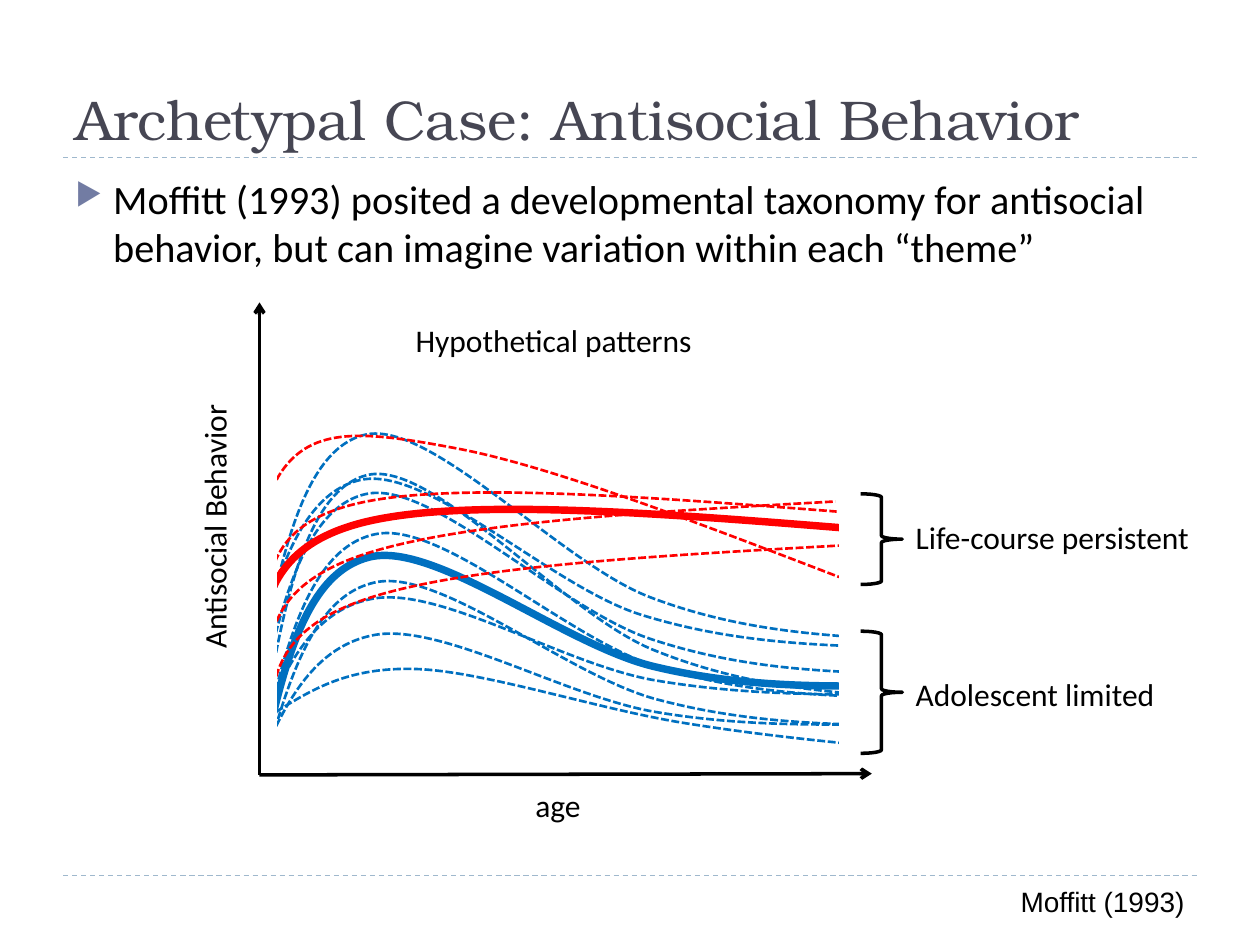
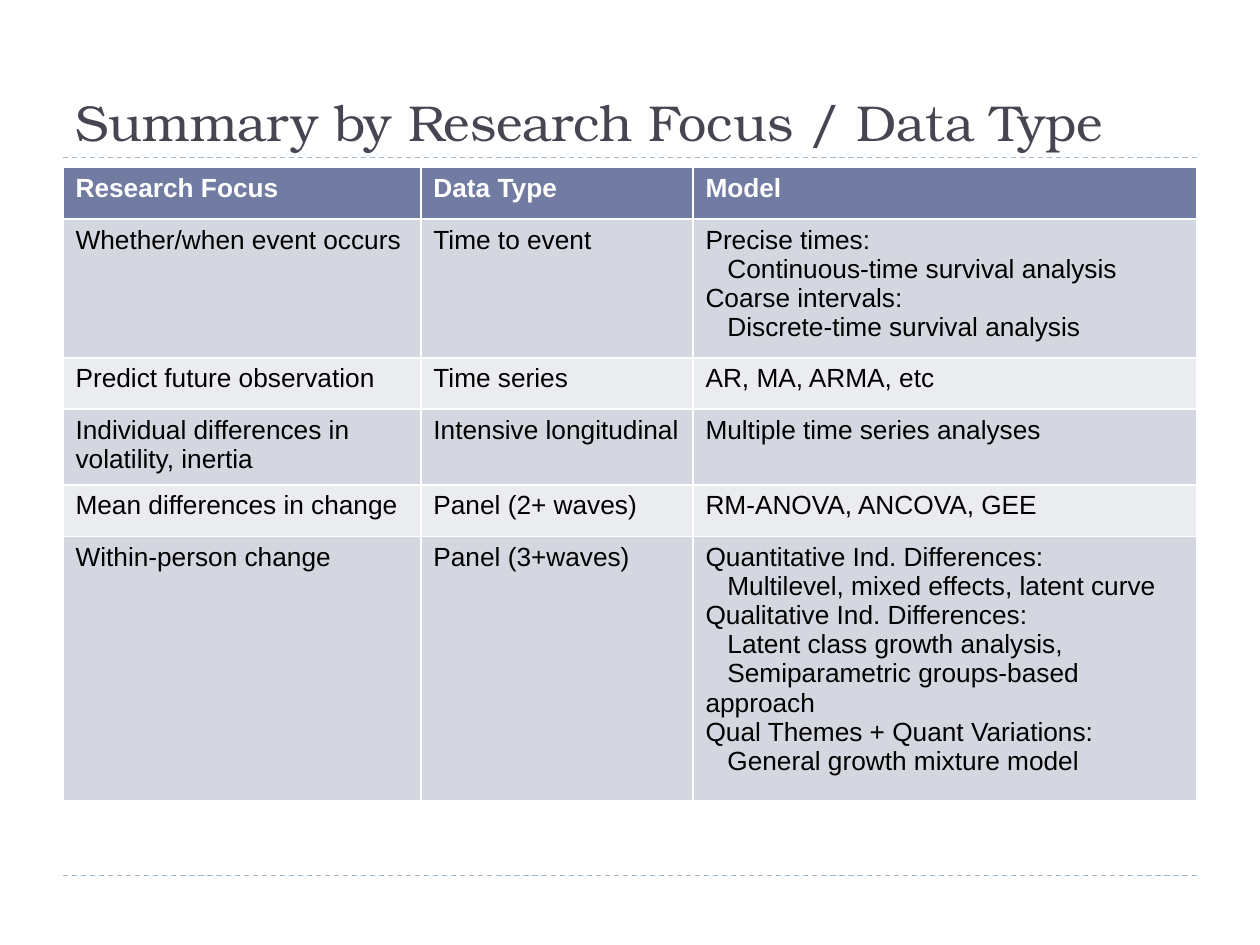
from pptx import Presentation
from pptx.dml.color import RGBColor
from pptx.enum.dml import MSO_LINE_DASH_STYLE as DASH
from pptx.enum.shapes import MSO_CONNECTOR as CONNECTOR, MSO_SHAPE as SHAPE
from pptx.enum.text import MSO_ANCHOR as ANCHOR, PP_ALIGN as ALIGN
from pptx.oxml.ns import qn
from pptx.util import Pt
from lxml.etree import SubElement

# Shared style
BLACK = RGBColor(0x00, 0x00, 0x00)
WHITE = RGBColor(0xFF, 0xFF, 0xFF)
TITLE_GRAY = RGBColor(0x46, 0x46, 0x53)
RULE_BLUE = RGBColor(0x9F, 0xB8, 0xCD)
ACCENT = RGBColor(0x72, 0x7C, 0xA3)
BAND_DARK = RGBColor(0xD5, 0xD7, 0xE0)
BAND_LIGHT = RGBColor(0xEB, 0xEC, 0xF0)
BLUE = RGBColor(0x00, 0x70, 0xC0)
RED = RGBColor(0xFF, 0x00, 0x00)
TITLE_FONT, BODY_FONT, TABLE_FONT = "TeX Gyre Bonum", "Calibri", "Arial"
LEFT, WIDTH = 36, 648
RULE_TOPS = (90, 500.4)

# Slide 1 content
ARCHETYPE_TITLE = "Archetypal Case: Antisocial Behavior"
ARCHETYPE_POINT = ("Moffitt (1993) posited a developmental taxonomy for antisocial "
                   "behavior, but can imagine variation within each “theme”")
CITATION = "Moffitt (1993)"
CHART_LABELS = [  # text, left, top, width
    ("age", 298.8, 445.7, 50.4),
    ("Life-course persistent", 516.2, 292.3, 174.2),
    ("Adolescent limited", 516.2, 382.3, 153.4),
    ("Hypothetical patterns", 230.4, 180, 174.2),
]
BRACES = [(360.7, 69.8), (282.2, 51.8)]  # top, height
CURVE_MASKS = [(480.2, 243.4, 66.2, 188.6), (91.4, 234, 66.2, 228.2)]
ORIGIN = (148.3, 442.8)
AXIS_ENDS = [(148.3, 172.8), (498.2, 442.1)]

# Each curve: start, then (incoming handle, knot) pairs, then end
PLOT_UNIT = 72  # points per unit of the curve coordinates
ADOLESCENT = [
    [(2.02, 5.76), (2.39, 4.03), (2.91, 3.92), (4.44, 4.83), (5.16, 5.07), (7.18, 5.35)],
    [(1.99, 5.98), (2.43, 4.84), (2.97, 4.75), (4.49, 5.28), (5.20, 5.40), (7.25, 5.51)],
    [(2.19, 5.65), (2.77, 5.29), (3.31, 5.31), (4.75, 5.63), (5.44, 5.74), (7.46, 5.97)],
    [(2.03, 5.48), (2.38, 3.57), (2.90, 3.45), (4.45, 4.47), (5.16, 4.74), (7.20, 5.08)],
    [(2.07, 5.96), (2.45, 4.35), (2.98, 4.24), (4.50, 5.07), (5.21, 5.29), (7.23, 5.54)],
    [(2.06, 5.92), (2.40, 3.89), (2.92, 3.77), (4.47, 4.87), (5.19, 5.16), (7.22, 5.54)],
    [(1.95, 5.56), (2.33, 3.93), (2.86, 3.81), (4.38, 4.66), (5.09, 4.88), (7.11, 5.14)],
    [(1.99, 6.22), (2.44, 5.14), (2.97, 5.04), (4.49, 5.53), (5.20, 5.65), (7.25, 5.74)],
    [(2.07, 6.19), (2.47, 4.72), (2.99, 4.62), (4.50, 5.36), (5.21, 5.55), (7.23, 5.76)],
]
ADOLESCENT_MEAN = [(2.08, 6.05), (2.42, 4.54), (2.94, 4.42), (4.48, 5.12), (5.19, 5.29),
                   (7.22, 5.44)]
PERSISTENT = [
    [(2.10, 4.95), (2.15, 4.13), (2.91, 3.98), (6.64, 4.06)],
    [(2.14, 5.59), (2.08, 4.69), (2.83, 4.42), (6.63, 3.98)],
    [(2.15, 5.79), (1.98, 4.12), (2.23, 3.75), (2.89, 3.42), (3.63, 3.56), (6.66, 4.58)],
    [(2.16, 5.95), (2.11, 5.04), (2.86, 4.77), (6.66, 4.33)],
]
PERSISTENT_MEAN = [(2.04, 5.34), (2.11, 4.33), (2.91, 4.14), (6.82, 4.20)]

# Slide 2 content: a tuple inside a cell holds indented lines
SUMMARY_TITLE = "Summary by Research Focus / Data Type"
SUMMARY_COLUMNS = (204.5, 155.5, 288)
SUMMARY_ROW_HEIGHT = 29.4
LINE_INDENT = 12.5
SUMMARY = [
    (["Research Focus"], ["Data Type"], ["Model"]),
    (["Whether/when event occurs"], ["Time to event"],
     ["Precise times:", ("Continuous-time survival analysis",),
      "Coarse intervals:", ("Discrete-time survival analysis",)]),
    (["Predict future observation"], ["Time series"], ["AR, MA, ARMA, etc"]),
    (["Individual differences in volatility, inertia"], ["Intensive longitudinal"],
     ["Multiple time series analyses"]),
    (["Mean differences in change"], ["Panel (2+ waves)"], ["RM-ANOVA, ANCOVA, GEE"]),
    (["Within-person change"], ["Panel (3+waves)"],
     ["Quantitative Ind. Differences:", ("Multilevel, mixed effects, latent curve",),
      "Qualitative Ind. Differences:",
      ("Latent class growth analysis,", "Semiparametric groups-based approach"),
      "Qual Themes + Quant Variations:", ("General growth mixture model",)]),
]


def style_font(paragraph, size, name, color=BLACK, bold=False):
    font = paragraph.font
    font.size, font.name, font.bold = Pt(size), name, bold
    font.color.rgb = color


def add_text(slide, text, box, size, font=BODY_FONT, color=BLACK, wrap=True,
             align=ALIGN.LEFT, anchor=ANCHOR.TOP):
    label = slide.shapes.add_textbox(*map(Pt, box))
    frame = label.text_frame
    frame.word_wrap, frame.vertical_anchor = wrap, anchor
    paragraph = frame.paragraphs[0]
    paragraph.text, paragraph.alignment = text, align
    style_font(paragraph, size, font, color)
    return label


def add_line(slide, start, end, color, weight, dash=None, arrow=False):
    connector = slide.shapes.add_connector(CONNECTOR.STRAIGHT, *map(Pt, start + end))
    line = connector.line
    line.color.rgb, line.width = color, Pt(weight)
    if dash:
        line.dash_style = dash
    properties = connector._element.spPr
    if arrow:
        SubElement(properties.find(qn("a:ln")), qn("a:tailEnd"), type="arrow")
    SubElement(properties, qn("a:effectLst"))


def outline(shape, color, weight, dash=None):
    shape.shadow.inherit = False
    shape.fill.background()
    shape.line.color.rgb, shape.line.width = color, Pt(weight)
    if dash:
        shape.line.dash_style = dash


def midpoint(a, b):
    return (a[0] + b[0]) / 2, (a[1] + b[1]) / 2


def bezier_points(curve):
    """Mirror each handle across its knot; end handles lie halfway."""
    start, *middle, end = curve
    points, leaving = [start], midpoint(start, middle[0])
    for handle, knot in zip(middle[::2], middle[1::2]):
        points += [leaving, handle, knot]
        leaving = (2 * knot[0] - handle[0], 2 * knot[1] - handle[1])
    return points + [leaving, midpoint(leaving, end), end]


def add_curve(slide, curve, color, weight=1.5, dash=DASH.SQUARE_DOT):
    start, *rest = [(Pt(x * PLOT_UNIT), Pt(y * PLOT_UNIT)) for x, y in bezier_points(curve)]
    builder = slide.shapes.build_freeform(*start)
    builder.add_line_segments(rest, close=False)
    shape = builder.convert_to_shape()
    # Turn every three straight segments into one cubic segment
    segments = list(shape._element.iter(qn("a:lnTo")))
    for first in range(0, len(segments), 3):
        cubic = SubElement(segments[first].getparent(), qn("a:cubicBezTo"))
        for segment in segments[first:first + 3]:
            cubic.append(segment[0])
            segment.getparent().remove(segment)
    outline(shape, color, weight, dash)


def add_bullet(paragraph):
    paragraph.space_before = Pt(6)
    properties = paragraph._p.get_or_add_pPr()
    properties.set("marL", str(Pt(21.6)))
    properties.set("indent", str(Pt(-21.6)))
    bullet = [SubElement(properties, qn("a:buClr")),
              SubElement(properties, qn("a:buSzPct"), val="76000"),
              SubElement(properties, qn("a:buChar"), char="▶")]
    SubElement(bullet[0], qn("a:srgbClr"), val=str(ACCENT))
    # Font defaults must follow the bullet
    properties.append(properties.find(qn("a:defRPr")))


def add_slide(deck, title, title_size):
    slide = deck.slides.add_slide(deck.slide_layouts[6])
    for top in reversed(RULE_TOPS):
        add_line(slide, (LEFT, top), (LEFT + WIDTH, top), RULE_BLUE, 0.75, DASH.DASH)
    add_text(slide, title, (LEFT, 12.2, WIDTH, 77.8), title_size, TITLE_FONT, TITLE_GRAY,
             anchor=ANCHOR.BOTTOM)
    return slide


def build_archetype(deck):
    slide = add_slide(deck, ARCHETYPE_TITLE, 32)
    point = add_text(slide, ARCHETYPE_POINT, (LEFT, 95.8, WIDTH, 388.8), 23)
    add_bullet(point.text_frame.paragraphs[0])

    # Trajectories, dashed individuals under each solid mean
    for curves, mean, color in ((ADOLESCENT, ADOLESCENT_MEAN, BLUE),
                                (PERSISTENT, PERSISTENT_MEAN, RED)):
        for curve in curves:
            add_curve(slide, curve, color)
        add_curve(slide, mean, color, 4.25, None)

    # White masks trim the curve ends
    for box in CURVE_MASKS:
        mask = slide.shapes.add_shape(SHAPE.RECTANGLE, *map(Pt, box))
        outline(mask, WHITE, 1.5)
        mask.fill.solid()
        mask.fill.fore_color.rgb = WHITE

    # Axes, braces and labels
    for end in AXIS_ENDS:
        add_line(slide, ORIGIN, end, BLACK, 2, arrow=True)
    for top, height in BRACES:
        brace = slide.shapes.add_shape(SHAPE.RIGHT_BRACE, Pt(491.8), Pt(top), Pt(23.8),
                                       Pt(height))
        outline(brace, BLACK, 2)
    vertical = add_text(slide, "Antisocial Behavior", (33.1, 286.6, 178.6, 28.8), 18,
                        align=ALIGN.CENTER)
    vertical.rotation = 270
    for text, left, top, width in CHART_LABELS:
        add_text(slide, text, (left, top, width, 28.8), 18, wrap=False)
    add_text(slide, CITATION, (574.6, 501.8, 109.4, 26.6), 16, TABLE_FONT, wrap=False,
             align=ALIGN.RIGHT)


def fill_cell(cell, content, header):
    lines = []
    for item in content:
        lines += [(item, 0)] if isinstance(item, str) else [(t, LINE_INDENT) for t in item]
    cell.text = "\n".join(text for text, _ in lines)
    for paragraph, (_, indent) in zip(cell.text_frame.paragraphs, lines):
        if indent:
            paragraph._p.get_or_add_pPr().set("indent", str(Pt(indent)))
        style_font(paragraph, 15, TABLE_FONT, WHITE if header else BLACK, header)


def build_summary(deck):
    slide = add_slide(deck, SUMMARY_TITLE, 28.8)
    table = slide.shapes.add_table(
        len(SUMMARY), len(SUMMARY_COLUMNS), Pt(LEFT), Pt(95.8), Pt(WIDTH),
        Pt(SUMMARY_ROW_HEIGHT * len(SUMMARY))).table
    for column, width in zip(table.columns, SUMMARY_COLUMNS):
        column.width = Pt(width)
    for row, contents in enumerate(SUMMARY):
        band = ACCENT if row == 0 else BAND_DARK if row % 2 else BAND_LIGHT
        for column, content in enumerate(contents):
            cell = table.cell(row, column)
            fill_cell(cell, content, row == 0)
            cell.fill.solid()
            cell.fill.fore_color.rgb = band


def main():
    deck = Presentation()
    deck.slide_width, deck.slide_height = Pt(720), Pt(540)
    build_archetype(deck)
    build_summary(deck)
    deck.save("out.pptx")


if __name__ == "__main__":
    main()
